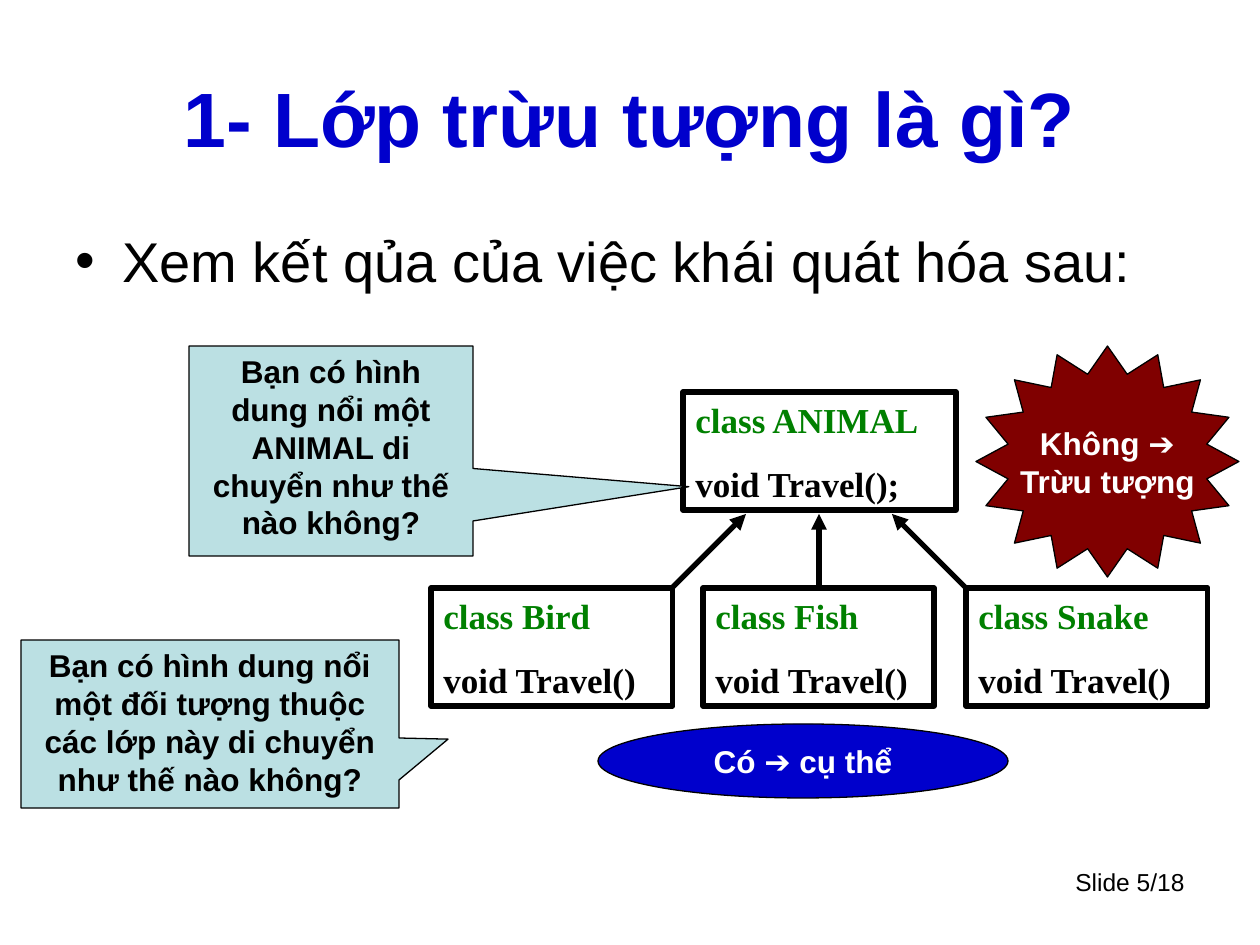
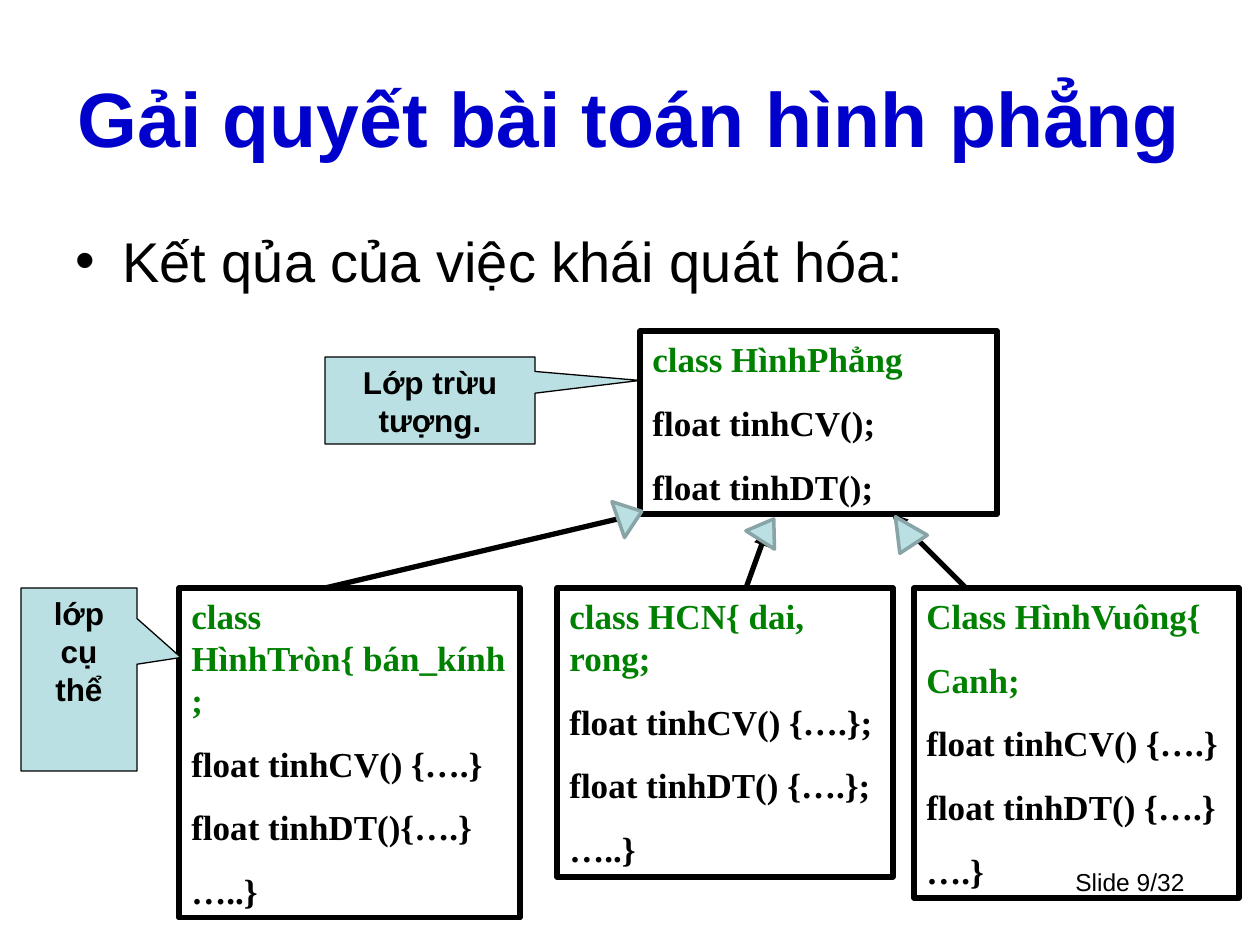
from math import cos, pi, sin

from lxml import etree
from pptx import Presentation
from pptx.dml.color import RGBColor
from pptx.enum.shapes import MSO_CONNECTOR, MSO_SHAPE
from pptx.enum.text import MSO_ANCHOR, MSO_AUTO_SIZE, PP_ALIGN
from pptx.oxml.ns import qn
from pptx.util import Pt

PX = 914400 / 126
PAGE_WIDTH, PAGE_HEIGHT = 1260, 945
COLORS = {
    "black": "000000", "white": "FFFFFF", "blue": "0000CC", "green": "008000",
    "pale": "BBE0E3", "maroon": "800000", "slate": "89A4A7",
}
SANS, SERIF = "Arial", "Times New Roman"
LEFT, CENTER, RIGHT = PP_ALIGN.LEFT, PP_ALIGN.CENTER, PP_ALIGN.RIGHT
TOP, MIDDLE = MSO_ANCHOR.TOP, MSO_ANCHOR.MIDDLE
RECTANGLE, ELLIPSE = MSO_SHAPE.RECTANGLE, MSO_SHAPE.OVAL
CALLOUT, TRIANGLE = MSO_SHAPE.RECTANGULAR_CALLOUT, MSO_SHAPE.ISOSCELES_TRIANGLE
STRAIGHT = MSO_CONNECTOR.STRAIGHT
DIAGRAM = (21, 331, 1218, 587)
SUBCLASS_TOP = 257


def emu(*lengths):
    """Turn px lengths into EMU."""
    return [round(length * PX) for length in lengths]


def within(region, left, top, *size):
    """Shift a place inside a region to page px."""
    return (region[0] + left, region[1] + top, *size)


def color(name):
    """Look up a named colour."""
    return RGBColor.from_string(COLORS[name])


def write(frame, lines, size, ink, font=SANS, bold=True, align=CENTER,
          anchor=TOP, before=0, wrap=True):
    """Fill a text frame with one paragraph per (text, colour) or text."""
    frame.word_wrap = wrap
    frame.vertical_anchor = anchor
    for index, line in enumerate(lines):
        text, line_ink = (line, ink) if isinstance(line, str) else line
        para = frame.paragraphs[0] if index == 0 else frame.add_paragraph()
        para.alignment = align
        para.space_before = Pt(before)
        span = para.add_run()
        span.text = text
        span.font.name = font
        span.font.size = Pt(size)
        span.font.bold = bold
        span.font.color.rgb = color(line_ink)


def paint(shape, fill=None, line="black", weight=0.75):
    """Set fill and outline and drop the shadow."""
    shape.shadow.inherit = False
    if fill:
        shape.fill.solid()
        shape.fill.fore_color.rgb = color(fill)
    else:
        shape.fill.background()
    shape.line.color.rgb = color(line)
    shape.line.width = Pt(weight)


def text_box(page, box, text, size, ink, **style):
    """Add a plain text box and return its frame."""
    frame = page.shapes.add_textbox(*emu(*box)).text_frame
    write(frame, [text], size, ink, **style)
    return frame


def framing(page, title, topic, footer):
    """Place the title, the bulleted topic and the footer."""
    text_box(page, (903, 861, 294, 66), footer, 14, "black", bold=False, align=RIGHT)
    text_box(page, (63, 38, 1134, 158), title, 44, "blue", anchor=MIDDLE)
    frame = text_box(page, (63, 220, 1134, 116), topic, 32, "black",
                     bold=False, align=LEFT, before=8)
    props = frame.paragraphs[0]._p.get_or_add_pPr()
    indent, = emu(47)
    props.set("marL", str(indent))
    props.set("indent", str(-indent))
    etree.SubElement(props, qn("a:buFont")).set("typeface", SANS)
    etree.SubElement(props, qn("a:buChar")).set("char", "•")


def class_box(page, box, heads, members):
    """Draw a class with green heading lines and black members."""
    shape = page.shapes.add_shape(RECTANGLE, *emu(*box))
    paint(shape, weight=3)
    lines = [(head, "green") for head in heads] + members
    write(shape.text_frame, lines, 20, "black", font=SERIF, align=LEFT, before=12.5)
    shape.text_frame.auto_size = MSO_AUTO_SIZE.SHAPE_TO_FIT_TEXT


def callout(page, box, tip, text):
    """Draw a pale speech box whose tip is given as shares of its size."""
    shape = page.shapes.add_shape(CALLOUT, *emu(*box))
    shape.adjustments[0], shape.adjustments[1] = tip
    paint(shape, "pale")
    write(shape.text_frame, [text], 18, "black")


def arrow(page, start, end):
    """Draw a thick arrow from a subclass to its base class."""
    line = page.shapes.add_connector(STRAIGHT, *emu(*start, *end))
    line.line.color.rgb = color("black")
    line.line.width = Pt(3)
    etree.SubElement(line.line._get_or_add_ln(), qn("a:tailEnd")).set("type", "triangle")
    etree.SubElement(line._element.spPr, qn("a:effectLst"))


def star(page, box, lines, tips=16, inner=0.77):
    """Draw a many-pointed star with centred text."""
    left, top, width, height = box
    points = []
    for step in range(2 * tips):
        reach = inner if step % 2 else 1
        angle = pi * step / tips
        points.append(emu(left + width / 2 * (1 + reach * cos(angle)),
                          top + height / 2 * (1 + reach * sin(angle))))
    builder = page.shapes.build_freeform(*points[0])
    builder.add_line_segments(points[1:], close=True)
    shape = builder.convert_to_shape()
    paint(shape, "maroon")
    write(shape.text_frame, lines, 18, "white", anchor=MIDDLE, wrap=False)


def verdict(page, box, text):
    """Draw the blue ellipse with its answer."""
    shape = page.shapes.add_shape(ELLIPSE, *emu(*box))
    paint(shape, "blue")
    write(shape.text_frame, [text], 18, "white", anchor=MIDDLE, wrap=False)


def inheritance_head(page, box, angle):
    """Draw a turned triangle at the end of an inheritance line."""
    shape = page.shapes.add_shape(TRIANGLE, *emu(*box))
    shape.rotation = angle
    paint(shape, "pale", "slate", 2)


def animal_diagram(page, region):
    """Place the animal classes, questions and answers."""
    class_box(page, within(region, 662, 61, 273, 118), ["class ANIMAL"], ["void Travel();"])
    for name, left, width in (("Bird", 410, 242), ("Fish", 682, 231), ("Snake", 945, 242)):
        class_box(page, within(region, left, SUBCLASS_TOP, width, 118),
                  [f"class {name}"], ["void Travel()"])
    for start, end in ((651, 725), (798, 798), (945, 871)):
        arrow(page, within(region, start, SUBCLASS_TOP), within(region, end, 183))
    callout(page, within(region, 168, 15, 284, 210), (1.26, 0.17),
            "Bạn có hình dung nổi một ANIMAL di chuyển như thế nào không?")
    callout(page, within(region, 0, 309, 378, 168), (0.63, 0.09),
            "Bạn có hình dung nổi một đối tượng thuộc các lớp này di chuyển như thế nào không?")
    star(page, within(region, 955, 15, 263, 231), ["Không ➔", "Trừu tượng"])
    verdict(page, within(region, 577, 393, 410, 74), "Có ➔ cụ thể")


def figure_diagram(page, region):
    """Place the plane figure classes and their labels."""
    class_box(page, within(region, 619, 0, 357, 183), ["class HìnhPhẳng"],
              ["float tinhCV();", "float tinhDT();"])
    subclasses = (
        (158, 341, 330, ["class HìnhTròn{ bán_kính;"],
         ["float tinhCV() {….}", "float tinhDT(){….}", "…..}"]),
        (536, 336, 289, ["class HCN{ dai, rong;"],
         ["float tinhCV() {….};", "float tinhDT() {….};", "…..}"]),
        (893, 325, 310, ["Class HìnhVuông{", "Canh;"],
         ["float tinhCV() {….}", "float tinhDT() {….}", "….}"]),
    )
    for left, width, height, heads, members in subclasses:
        class_box(page, within(region, left, SUBCLASS_TOP, width, height), heads, members)
    for start, end in ((304, (618, 183)), (725, (746, 199)), (945, (871, 183))):
        arrow(page, within(region, start, SUBCLASS_TOP), within(region, *end))
    callout(page, within(region, 304, 26, 210, 87), (1, -0.23), "Lớp trừu tượng.")
    callout(page, within(region, 0, SUBCLASS_TOP, 116, 183), (0.88, -0.12), "lớp cụ thể")
    for place, angle in (((590, 172, 38, 25), 70.7), ((729, 186, 34, 25), 32.8),
                         ((867, 183, 33, 33), 326.5)):
        inheritance_head(page, within(region, *place), angle)


def main():
    """Build and save the deck."""
    deck = Presentation()
    deck.slide_width, deck.slide_height = emu(PAGE_WIDTH, PAGE_HEIGHT)
    pages = (
        ("1- Lớp trừu tượng là gì?", "Xem kết qủa của việc khái quát hóa sau:",
         "Slide 5/18", animal_diagram),
        ("Gải quyết bài toán hình phẳng", "Kết qủa của việc khái quát hóa:",
         "Slide 9/32", figure_diagram),
    )
    for title, topic, footer, diagram in pages:
        page = deck.slides.add_slide(deck.slide_layouts[6])
        framing(page, title, topic, footer)
        diagram(page, DIAGRAM)
    deck.save("out.pptx")


if __name__ == "__main__":
    main()
